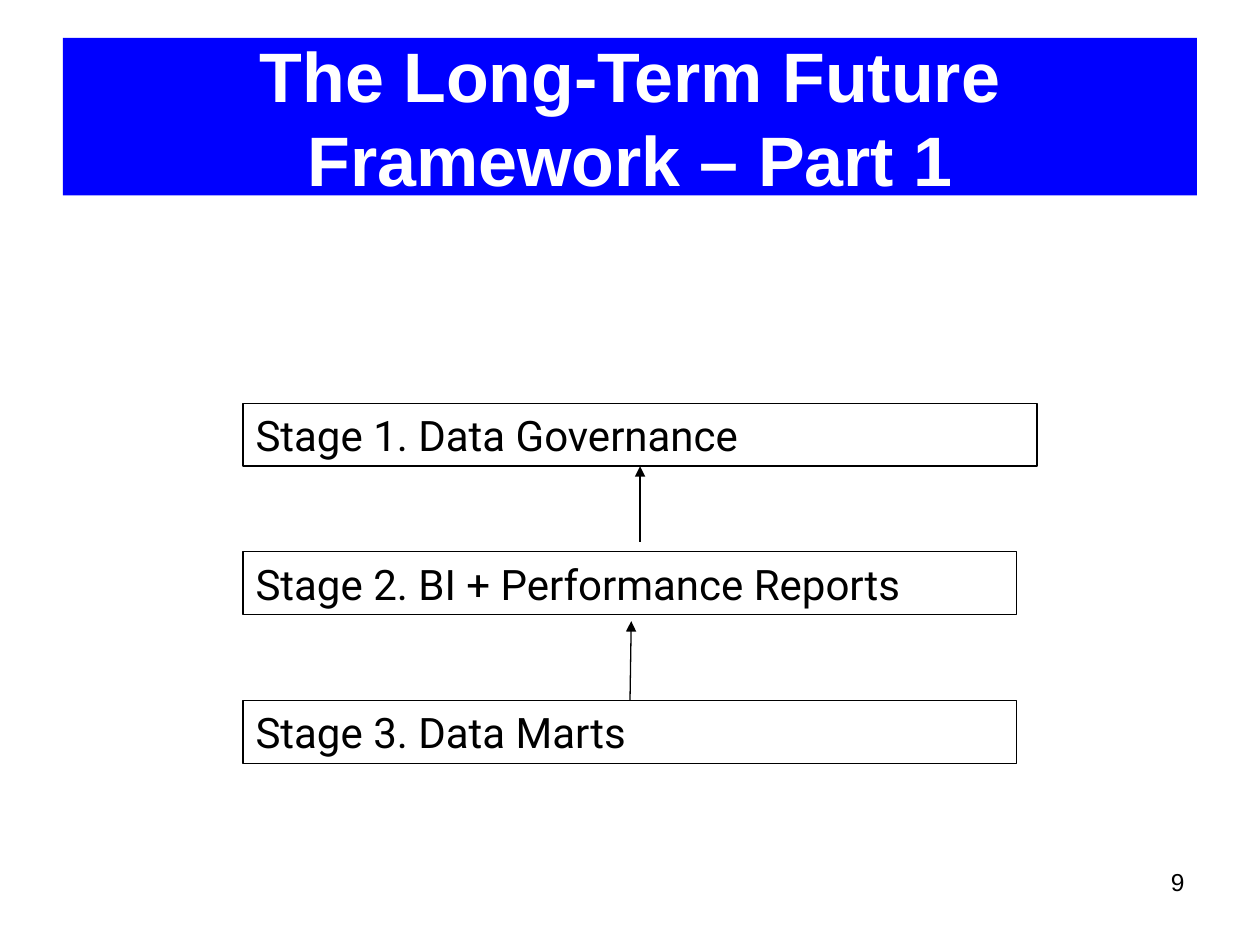
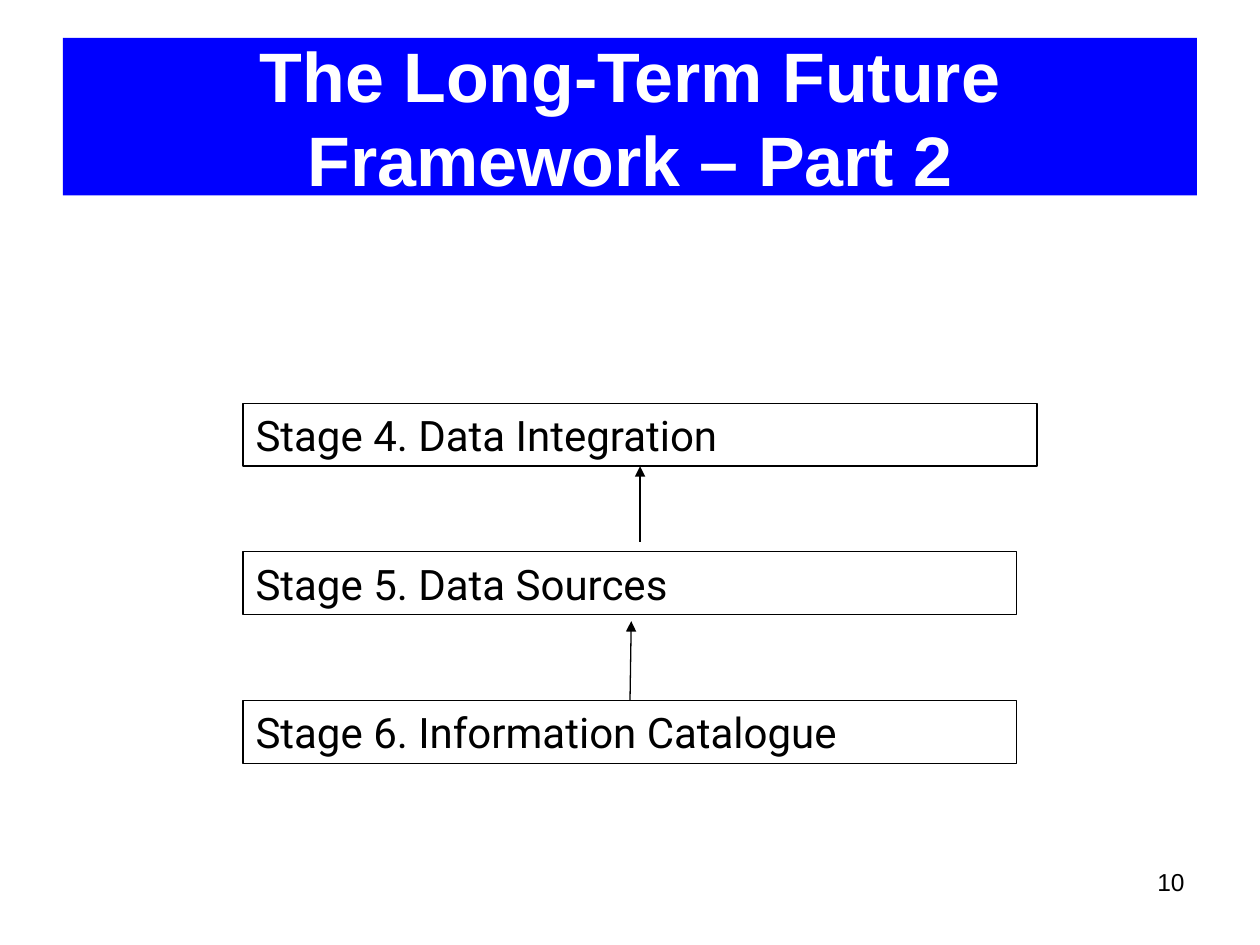
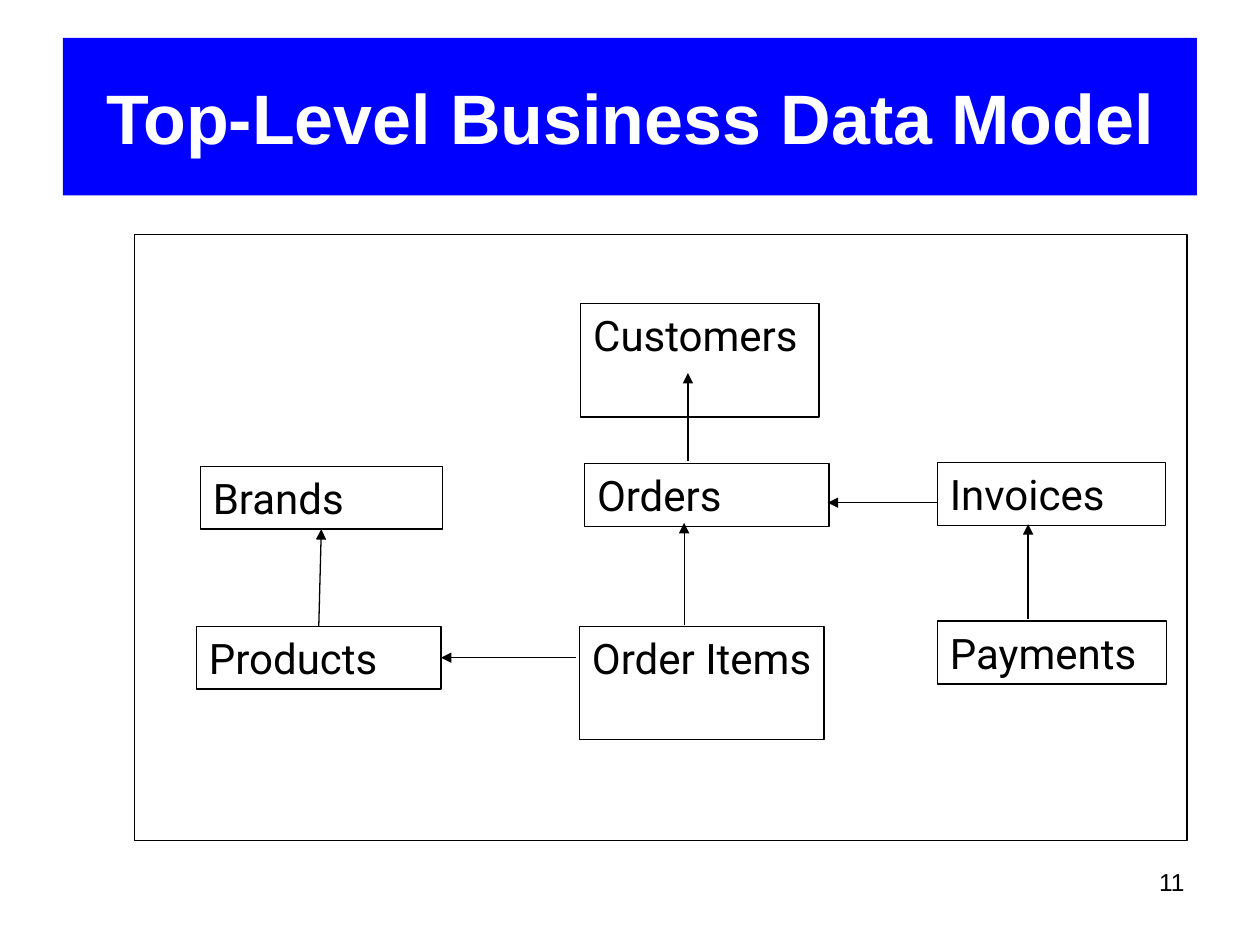
"""Build three slides on the long-term data framework and the business data model."""
from dataclasses import dataclass

from pptx import Presentation
from pptx.dml.color import RGBColor as Color
from pptx.enum.shapes import MSO_CONNECTOR as Connector, MSO_SHAPE as Shape
from pptx.enum.text import MSO_ANCHOR as Anchor, PP_ALIGN as Align
from pptx.oxml.ns import qn
from pptx.util import Inches, Pt
from lxml.etree import SubElement

TOP, LEFT, BOTTOM, RIGHT = range(4)


@dataclass(frozen=True)
class Theme:
    black: Color = Color(0, 0, 0)
    white: Color = Color(255, 255, 255)
    blue: Color = Color(0, 0, 255)
    heading_font: str = "Arial"
    body_font: str = "Roboto"
    title_size: int = 40
    body_size: int = 24
    number_size: int = 14
    line_width: float = 0.75


THEME = Theme()


def write(shape, text, font=THEME.body_font, size=THEME.body_size, color=THEME.black,
          bold=False, align=Align.LEFT, anchor=Anchor.TOP, space_before=0):
    frame = shape.text_frame
    frame.word_wrap = True
    frame.vertical_anchor = anchor
    frame.margin_right = Inches(0.1 if align != Align.LEFT else 0.05)
    paragraph = frame.paragraphs[0]
    paragraph.alignment = align
    paragraph.space_before = Pt(space_before)
    for index, line in enumerate(text.splitlines()):
        if index:
            paragraph.add_line_break()
        run = paragraph.add_run()
        run.text = line
        run.font.name = font
        run.font.size = Pt(size)
        run.font.bold = bold
        run.font.color.rgb = color


def add_rectangle(slide, left, top, width, height, fill=None):
    shape = slide.shapes.add_shape(
        Shape.RECTANGLE, Inches(left), Inches(top), Inches(width), Inches(height))
    shape.shadow.inherit = False
    if fill is None:
        shape.fill.background()
        shape.line.color.rgb = THEME.black
        shape.line.width = Pt(THEME.line_width)
    else:
        shape.fill.solid()
        shape.fill.fore_color.rgb = fill
        shape.line.fill.background()
    return shape


def add_box(slide, text, left, top, width, height=0.5, **text_format):
    box = add_rectangle(slide, left, top, width, height)
    write(box, text, **text_format)
    return box


def add_arrow(slide, start, end, begin_at=None, end_at=None):
    arrow = slide.shapes.add_connector(
        Connector.STRAIGHT, *(Inches(value) for value in (*start, *end)))
    if begin_at:
        arrow.begin_connect(*begin_at)
    if end_at:
        arrow.end_connect(*end_at)
    arrow.line.color.rgb = THEME.black
    arrow.line.width = Pt(THEME.line_width)
    SubElement(arrow.line._get_or_add_ln(), qn("a:tailEnd"), type="triangle")
    SubElement(arrow._element.spPr, qn("a:effectLst"))


def add_titled_slide(presentation, title, number):
    slide = presentation.slides.add_slide(presentation.slide_layouts[6])
    band = add_rectangle(slide, 0.5, 0.3, 9, 1.25, fill=THEME.blue)
    write(band, title, font=THEME.heading_font, size=THEME.title_size,
          color=THEME.white, bold=True, align=Align.CENTER, anchor=Anchor.MIDDLE)
    number_box = slide.shapes.add_textbox(
        Inches(7.17), Inches(6.83), Inches(2.33), Inches(0.52))
    write(number_box, str(number), font=THEME.heading_font,
          size=THEME.number_size, align=Align.RIGHT)
    return slide


def add_stage_slide(presentation, title, number, stages):
    slide = add_titled_slide(presentation, title, number)
    widths = (6.3, 6.14, 6.14)
    upper, _, lower = [
        add_box(slide, stage, 1.93, 3.2 + 1.18 * row, width, space_before=15)
        for row, (stage, width) in enumerate(zip(stages, widths))]
    add_arrow(slide, (5, 5.56), (5.01, 4.93), begin_at=(lower, TOP))
    add_arrow(slide, (5.08, 4.3), (5.08, 3.7), end_at=(upper, BOTTOM))


def add_model_slide(presentation, title, number):
    slide = add_titled_slide(presentation, title, number)
    add_rectangle(slide, 1.07, 1.86, 8.35, 4.81)
    brands = add_box(slide, "Brands", 1.59, 3.7, 1.92)
    products = add_box(slide, "Products", 1.56, 4.97, 1.94)
    add_box(slide, "Customers", 4.61, 2.41, 1.89, 0.9)
    add_box(slide, "Orders", 4.64, 3.68, 1.94)
    add_box(slide, "Order Items", 4.6, 4.97, 1.94, 0.9)
    add_box(slide, "Invoices", 7.44, 3.67, 1.81)
    add_box(slide, "Payments", 7.44, 4.93, 1.82)

    add_arrow(slide, (2.54, 4.97), (2.54, 4.2), (products, TOP), (brands, BOTTOM))
    add_arrow(slide, (4.57, 5.22), (3.5, 5.22), end_at=(products, RIGHT))
    for start, end in (
        ((5.43, 4.96), (5.43, 4.15)),
        ((5.46, 3.66), (5.46, 2.96)),
        ((8.16, 4.91), (8.16, 4.16)),
        ((7.44, 3.99), (6.57, 3.99)),
    ):
        add_arrow(slide, start, end)


def main():
    presentation = Presentation()
    presentation.slide_width = Inches(10)
    presentation.slide_height = Inches(7.5)
    add_stage_slide(
        presentation, "The Long-Term Future\nFramework – Part 1", 9,
        ("Stage 1. Data Governance", "Stage 2. BI + Performance Reports",
         "Stage 3. Data Marts"))
    add_stage_slide(
        presentation, "The Long-Term Future\nFramework – Part 2", 10,
        ("Stage 4. Data Integration", "Stage 5. Data Sources",
         "Stage 6. Information Catalogue"))
    add_model_slide(presentation, "Top-Level Business Data Model", 11)
    presentation.save("out.pptx")


if __name__ == "__main__":
    main()
